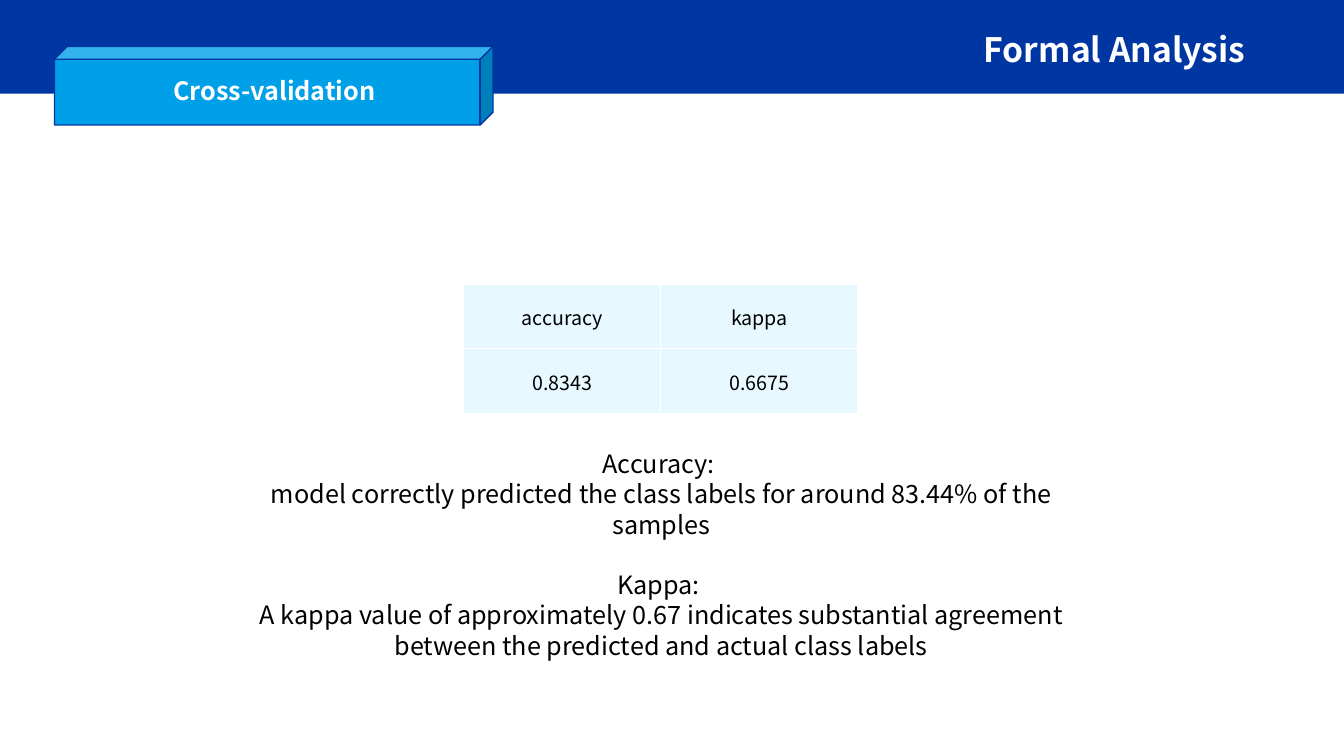
from lxml.etree import SubElement
from pptx import Presentation
from pptx.dml.color import RGBColor
from pptx.enum.shapes import MSO_SHAPE as Shape
from pptx.enum.text import MSO_ANCHOR as Anchor, MSO_AUTO_SIZE as AutoSize, PP_ALIGN as Align
from pptx.oxml.ns import qn
from pptx.util import Inches, Pt

COLORS = {"navy": "0036A2", "cyan": "00A0E9", "pale": "90DCFF",
          "white": "FFFFFF", "black": "000000"}
FONT = "Noto Sans CJK SC"
SCORES = [["accuracy", "kappa"], ["0.8343", "0.6675"]]
FINDINGS = [
    ("Accuracy: ",
     "model correctly predicted the class labels for around 83.44% of the samples"),
    ("Kappa: ",
     "A kappa value of approximately 0.67 indicates substantial agreement "
     "between the predicted and actual class labels"),
]


def color(name):
    return RGBColor.from_string(COLORS[name])


def style_text(frame, size, color_name, bold=False):
    """Centre every paragraph and format its runs."""
    for para in frame.paragraphs:
        para.alignment = Align.CENTER
        for span in para.runs:
            font = span.font
            font.name, font.size, font.bold = FONT, Pt(size), bold
            font.color.rgb = color(color_name)
            SubElement(font._element, qn("a:ea"), typeface=FONT)


def set_insets(target, left, top, right, bottom):
    target.margin_left, target.margin_top = Inches(left), Inches(top)
    target.margin_right, target.margin_bottom = Inches(right), Inches(bottom)


def add_block(page, kind, box, fill_name):
    block = page.shapes.add_shape(kind, *map(Inches, box))
    block.shadow.inherit = False
    block.fill.solid()
    block.fill.fore_color.rgb = color(fill_name)
    block.line.fill.background()
    return block


def add_text_box(page, box):
    frame = page.shapes.add_textbox(*map(Inches, box)).text_frame
    frame.word_wrap = True
    return frame


def add_header(page, box):
    """Blue band with the slide title at its right end."""
    left, top, width, height = box
    add_block(page, Shape.RECTANGLE, box, "navy")
    title_width = 4.55
    frame = add_text_box(page, (left + width - title_width, top + 0.24, title_width, 0.43))
    frame.text = "Formal Analysis"
    style_text(frame, 24, "white", bold=True)


def add_section_label(page, box):
    cube = add_block(page, Shape.CUBE, box, "cyan")
    cube.adjustments[0] = 0.164
    cube.line.color.rgb = color("navy")
    cube.line.width = Pt(1)
    frame = cube.text_frame
    frame.word_wrap = True
    frame.vertical_anchor = Anchor.MIDDLE
    set_insets(frame, 0.24, 0.05, 0.1, 0.08)
    frame.text = "Cross-validation"
    style_text(frame, 18, "white", bold=True)


def paint_cell(cell):
    """White borders around a translucent fill."""
    props = cell._tc.get_or_add_tcPr()
    for side in ("lnL", "lnR", "lnT", "lnB"):
        border = SubElement(props, qn(f"a:{side}"), w=str(Pt(1)))
        SubElement(SubElement(border, qn("a:solidFill")), qn("a:srgbClr"), val=COLORS["white"])
    cell.fill.solid()
    cell.fill.fore_color.rgb = color("pale")
    tint = props.find(qn("a:solidFill")).find(qn("a:srgbClr"))
    SubElement(tint, qn("a:alpha"), val="20000")


def add_score_table(page, box):
    table = page.shapes.add_table(len(SCORES), len(SCORES[0]), *map(Inches, box)).table
    table.first_row = table.horz_banding = False
    for row, values in enumerate(SCORES):
        for column, value in enumerate(values):
            cell = table.cell(row, column)
            cell.text = value
            cell.vertical_anchor = Anchor.MIDDLE
            set_insets(cell, 0.01, 0.01, 0.01, 0)
            style_text(cell.text_frame, 14, "black")
            paint_cell(cell)


def add_findings(page, box):
    frame = add_text_box(page, box)
    frame.auto_size = AutoSize.SHAPE_TO_FIT_TEXT
    frame.text = "\n".join(line for finding in FINDINGS for line in finding)
    style_text(frame, 18, "black")
    for heading in frame.paragraphs[2::2]:
        heading.space_before = Pt(21.6)


def main():
    deck = Presentation()
    deck.slide_width, deck.slide_height = Inches(13.33), Inches(7.5)
    page = deck.slides.add_slide(deck.slide_layouts[6])
    add_header(page, (0, 0, 13.33, 0.93))
    add_section_label(page, (0.54, 0.46, 4.35, 0.78))
    add_score_table(page, (4.6, 2.82, 3.91, 1.28))
    add_findings(page, (2.08, 4.4, 8.96, 1.92))
    deck.save("out.pptx")


if __name__ == "__main__":
    main()
